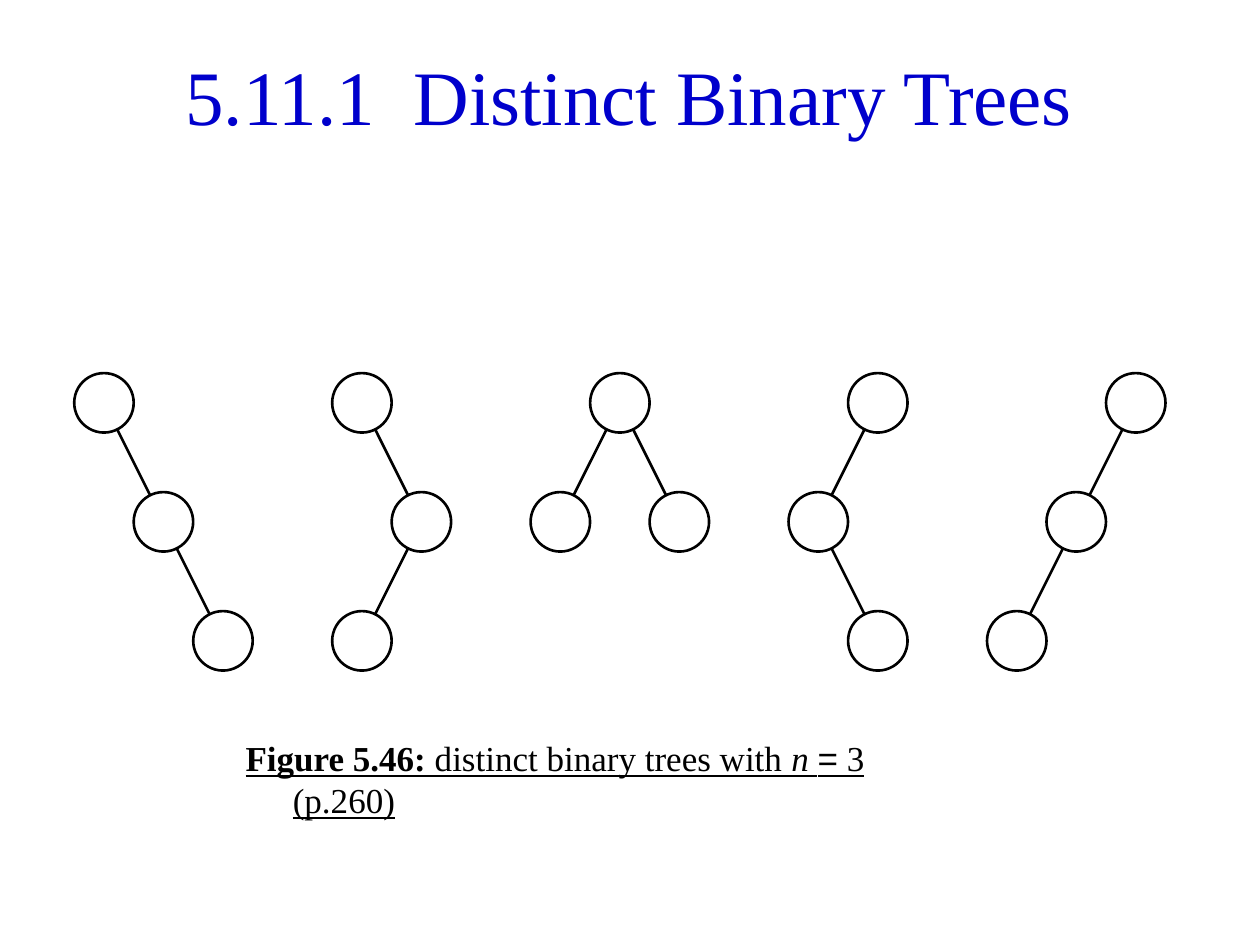
from pptx import Presentation
from pptx.dml.color import RGBColor
from pptx.enum.shapes import MSO_CONNECTOR, MSO_SHAPE
from pptx.enum.text import MSO_ANCHOR, PP_ALIGN
from pptx.oxml.ns import qn
from pptx.util import Pt
from lxml import etree

STRAIGHT = MSO_CONNECTOR.STRAIGHT
OVAL = MSO_SHAPE.OVAL
LEFT, CENTER = PP_ALIGN.LEFT, PP_ALIGN.CENTER
TOP, MIDDLE = MSO_ANCHOR.TOP, MSO_ANCHOR.MIDDLE

COLORS = {"title": "0000CC", "ink": "000000", "node": "FFFFFF"}
SERIF, SANS = "Times New Roman", "Arial"


def rgb(name):
    return RGBColor.from_string(COLORS[name])


def add_run(p, text, size=20, color="ink", font=SERIF, bold=False, italic=False, underline=False):
    r = p.add_run()
    r.text = text
    f = r.font
    f.name, f.size, f.color.rgb = font, Pt(size), rgb(color)
    f.bold, f.italic, f.underline = bold, italic, underline


class Slide:
    line_width = 1.5
    diameter = 34

    def __init__(self, prs):
        self.s = prs.slides.add_slide(prs.slide_layouts[6])

    def text(self, x, y, w, h, runs, align=LEFT, anchor=TOP, hanging=0, before=0):
        sp = self.s.shapes.add_textbox(Pt(x), Pt(y), Pt(w), Pt(h))
        tf = sp.text_frame
        tf.word_wrap = True
        tf.vertical_anchor = anchor
        p = tf.paragraphs[0]
        p.alignment = align
        p.space_before = Pt(before)
        if hanging:
            pPr = p._p.get_or_add_pPr()
            pPr.set("marL", str(Pt(hanging)))
            pPr.set("indent", str(Pt(-hanging)))
        for text, style in runs:
            add_run(p, text, **style)

    def edge(self, start, end):
        c = self.s.shapes.add_connector(STRAIGHT, *[Pt(v) for v in (*start, *end)])
        c.line.color.rgb = rgb("ink")
        c.line.width = Pt(self.line_width)
        etree.SubElement(c._element.spPr, qn("a:effectLst"))

    def node(self, x, y):
        d = self.diameter
        sp = self.s.shapes.add_shape(OVAL, Pt(x - d / 2), Pt(y - d / 2), Pt(d), Pt(d))
        sp.shadow.inherit = False
        sp.fill.solid()
        sp.fill.fore_color.rgb = rgb("node")
        sp.line.color.rgb = rgb("ink")
        sp.line.width = Pt(self.line_width)

    def tree(self, chain):
        for start, end in zip(chain, chain[1:]):
            self.edge(start, end)
        for center in chain:
            self.node(*center)


ROOT_X, ROOT_Y, TREE_GAP = 59.4, 230.2, 147.4
STEP_X, STEP_Y = 34, 68
TREES = [
    [(0, 0), (1, 1), (2, 2)],
    [(0, 0), (1, 1), (0, 2)],
    [(-1, 1), (0, 0), (1, 1)],
    [(0, 0), (-1, 1), (0, 2)],
    [(0, 0), (-1, 1), (-2, 2)],
]

prs = Presentation()
prs.slide_width, prs.slide_height = Pt(720), Pt(540)
slide = Slide(prs)

slide.text(19.4, 20.2, 680.4, 67.7,
           [("5.11.1  Distinct Binary Trees", {"size": 44, "color": "title"})],
           align=CENTER, anchor=MIDDLE)
slide.text(133.2, 417.6, 428, 33.8, [
    ("Figure 5.46:", {"bold": True, "underline": True}),
    (" distinct binary trees with ", {"underline": True}),
    ("n", {"italic": True, "underline": True}),
    (" ", {"underline": True}),
    ("=", {"font": SANS, "underline": True}),
    (" 3 (p.260)", {"underline": True}),
], hanging=27, before=4)

for i, chain in enumerate(TREES):
    root_x = ROOT_X + i * TREE_GAP
    slide.tree([(root_x + col * STEP_X, ROOT_Y + level * STEP_Y) for col, level in chain])

prs.save("out.pptx")
